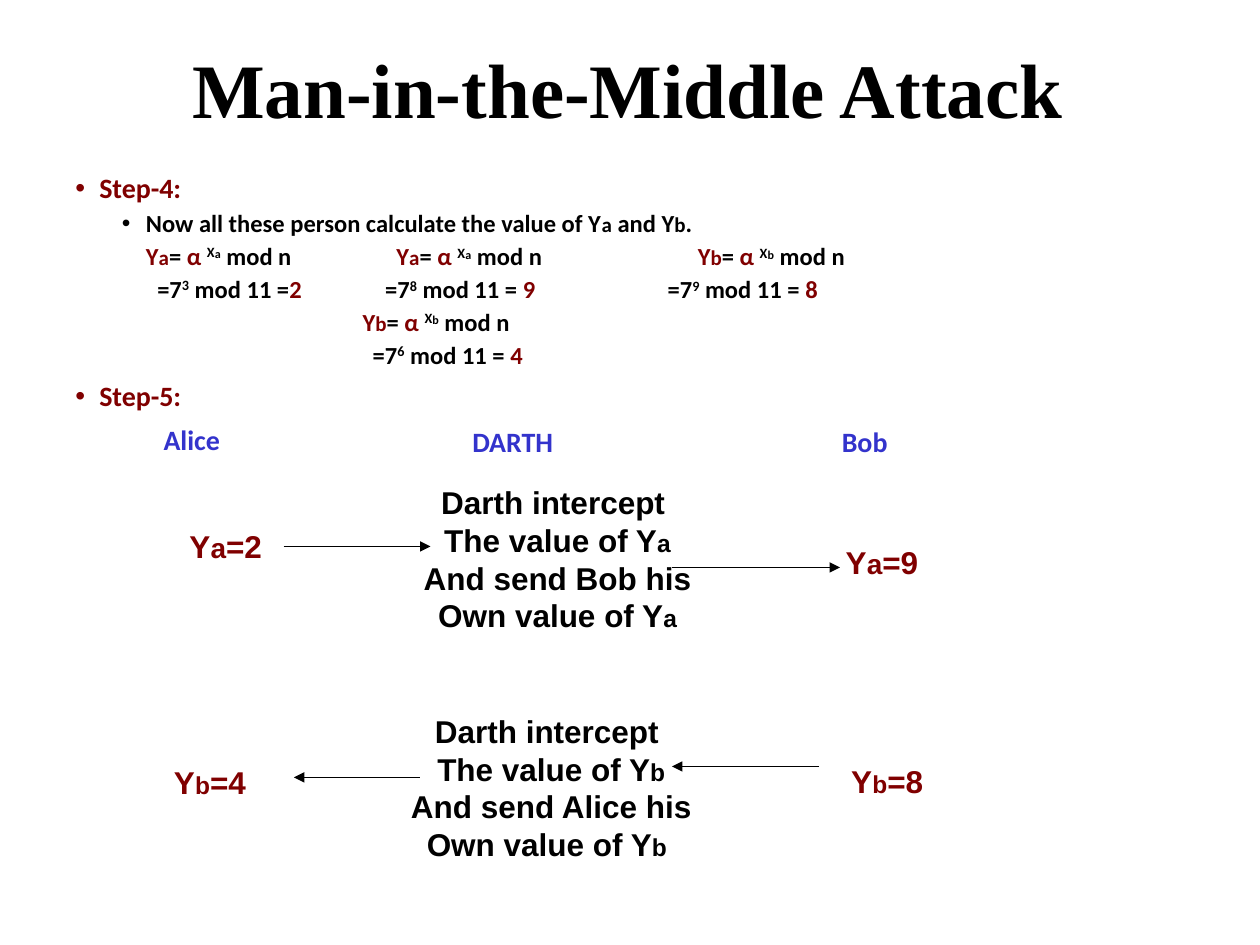
from lxml.etree import SubElement
from pptx import Presentation
from pptx.dml.color import RGBColor
from pptx.enum.shapes import MSO_CONNECTOR as CONNECTOR, MSO_SHAPE as SHAPE
from pptx.enum.text import MSO_ANCHOR as ANCHOR, PP_ALIGN as ALIGN
from pptx.oxml.ns import qn
from pptx.util import Inches, Pt

COLORS = {"black": "000000", "red": "800000", "blue": "3333CC", "white": "FFFFFF"}
SLIDE_WIDTH, SLIDE_HEIGHT = Inches(10), Inches(7.5)
COLUMNS, ROWS = 120, 90
COLUMN, ROW = SLIDE_WIDTH / COLUMNS, SLIDE_HEIGHT / ROWS
FORMULA_ROW, NAME_ROW = 22.68, 40.2


def rgb(name):
    return RGBColor.from_string(COLORS[name])


def grid(left, top, width, height):
    return [int(cells * unit) for cells, unit in
            zip((left, top, width, height), (COLUMN, ROW, COLUMN, ROW))]


def add_runs(paragraph, runs, font_name, base_size):
    """Each run is (text, color, size, raised); all but the text may be left out."""
    for text, color, size, raised in (
            run + ("black", base_size, False)[len(run) - 1:] for run in runs):
        run = paragraph.add_run()
        run.text = text
        for key, value in {"name": font_name, "size": Pt(size), "bold": True}.items():
            setattr(run.font, key, value)
        run.font.color.rgb = rgb(color)
        if raised:
            run.font._element.set("baseline", "30000")


def format_paragraph(paragraph, space, indent, bullet=None):
    for key, value in {"alignment": ALIGN.JUSTIFY, "line_spacing": 0.9,
                       "space_before": Pt(space)}.items():
        setattr(paragraph, key, value)
    properties = paragraph._p.get_or_add_pPr()
    properties.set("marL", str(Inches(indent)))
    properties.set("indent", str(Inches(-0.19) if bullet else 0))
    if bullet:
        bullet_color = SubElement(properties, qn("a:buClr"))
        SubElement(bullet_color, qn("a:srgbClr"), val=COLORS[bullet])
        SubElement(properties, qn("a:buFont"), typeface="Arial")
        SubElement(properties, qn("a:buChar"), char="•")
    else:
        SubElement(properties, qn("a:buNone"))


def formula(key):
    return [("Y", "red"), (key, "red", 12), ("=",), (" α ", "red"),
            ("X", "black", 14, True), (key, "black", 12, True), (" mod n",)]


def evaluation(exponent, result, gap=" "):
    return [("=7",), (exponent, "black", 14, True),
            (f" mod 11 ={gap}",), (result, "red")]


def person(name):
    return [(name, "blue", 16)]


def add_lines(slide, place, lines):
    """Each line is (runs, space before, indent) and may end with a bullet color."""
    frame = slide.shapes.add_textbox(*grid(*place)).text_frame
    frame.word_wrap = True
    for number, (runs, space, *layout) in enumerate(lines):
        paragraph = frame.add_paragraph() if number else frame.paragraphs[0]
        format_paragraph(paragraph, space if number else 0, *layout)
        add_runs(paragraph, runs, "Calibri", 14)


def add_steps(slide):
    add_lines(slide, (6, 16, 108, 69), [
        ([("Step-4:", "red", 16)], 0, 0.19, "red"),
        ([("Now all these person calculate the value of Y",), ("a", "black", 12),
          (" and Y",), ("b", "black", 12), (".",)], 3.7, 0.56, "black"),
        (formula("a"), 3.7, 0.56),
        (evaluation("3", "2", ""), 3.7, 0.65),
        (formula("b"), 3.7, 2.28),
        (evaluation("6", "4"), 3.7, 2.36),
        ([("Step-5:", "red", 16)], 7.5, 0.19, "red"),
        (person("Alice"), 7.5, 0.7),
    ])
    for left, key, exponent, result, indent in (
            (35.5, "a", "8", "9", 0.09), (62.4, "b", "9", "8", 0.24)):
        add_lines(slide, (left, FORMULA_ROW, 24, 7), [
            (formula(key), 0, indent), (evaluation(exponent, result), 3.7, 0)])
    for left, name in ((43.8, "DARTH"), (79, "Bob")):
        add_lines(slide, (left, NAME_ROW, 12, 4), [(person(name), 0, 0)])


def add_label(slide, place, lines, bottom=0.05):
    label = slide.shapes.add_shape(SHAPE.RECTANGLE, *grid(*place))
    label.shadow.inherit = False
    label.fill.solid()
    label.fill.fore_color.rgb = rgb("white")
    label.line.fill.background()
    frame = label.text_frame
    for key, value in {"word_wrap": False, "vertical_anchor": ANCHOR.MIDDLE,
                       "margin_bottom": Inches(bottom)}.items():
        setattr(frame, key, value)
    for number, runs in enumerate(lines):
        paragraph = frame.add_paragraph() if number else frame.paragraphs[0]
        paragraph.alignment = ALIGN.CENTER
        add_runs(paragraph, runs, "Arial", 18)


def add_key(slide, place, key, value, key_size):
    add_label(slide, place,
              [[("Y", "red"), (key, "red", key_size), (f"={value}", "red")]])


def add_interception(slide, place, receiver, key, ending="", bottom=0.05):
    small_key = (key, "black", 14)
    last_line = [("Own value of Y",), small_key] + ([(ending,)] if ending else [])
    add_label(slide, place, [
        [("Darth intercept ",)],
        [("The value of Y",), small_key],
        [(f"And send {receiver} his",)],
        last_line,
    ], bottom)


def add_arrow(slide, start, end, row):
    arrow = slide.shapes.add_connector(
        CONNECTOR.STRAIGHT, *grid(start, row, end, row))
    arrow.line.color.rgb = rgb("black")
    arrow.line.width = Pt(0.75)
    SubElement(arrow.line._get_or_add_ln(), qn("a:tailEnd"), type="triangle")
    SubElement(arrow._element.spPr, qn("a:effectLst"))


def set_title(slide, text):
    title = slide.shapes.title
    title.left, title.top, title.width, title.height = grid(5.8, 3.2, 108, 10.3)
    title.text_frame.vertical_anchor = ANCHOR.MIDDLE
    paragraph = title.text_frame.paragraphs[0]
    paragraph.alignment = ALIGN.CENTER
    add_runs(paragraph, [(text,)], "Times New Roman", 44)


def main():
    deck = Presentation()
    deck.slide_width, deck.slide_height = SLIDE_WIDTH, SLIDE_HEIGHT
    slide = deck.slides.add_slide(deck.slide_layouts[5])
    set_title(slide, "Man-in-the-Middle Attack")
    add_steps(slide)
    for place, key, value, key_size in (
            ((15, 50, 13, 4), "a", 2, 16), ((78, 52, 12, 3), "a", 9, 16),
            ((14, 73, 12, 3), "b", 4, 14), ((79, 72.8, 11, 3.2), "b", 8, 14)):
        add_key(slide, place, key, value, key_size)
    add_interception(slide, (41.2, 49, 23.8, 12), "Bob", "a", bottom=0.35)
    add_interception(slide, (42, 69, 21, 12), "Alice", "b", ending=" ")
    for start, end, row in (
            (27, 41, 52.04), (64, 80, 54.04), (78, 64, 73), (40, 28, 74.04)):
        add_arrow(slide, start, end, row)
    deck.save("out.pptx")


if __name__ == "__main__":
    main()
